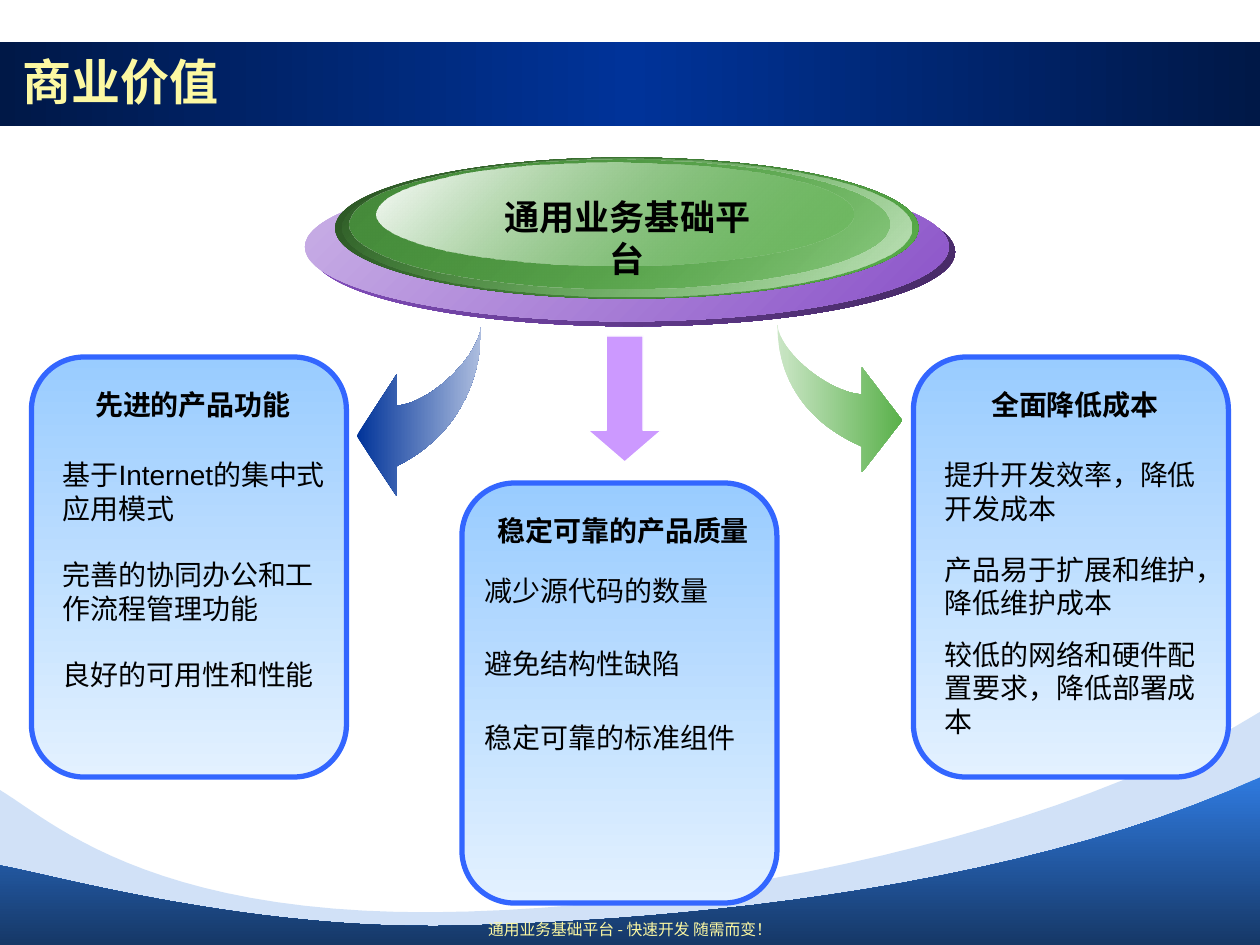
from dataclasses import dataclass

from lxml.etree import SubElement
from pptx import Presentation
from pptx.dml.color import RGBColor
from pptx.enum.shapes import MSO_SHAPE
from pptx.enum.text import MSO_ANCHOR, PP_ALIGN
from pptx.oxml import parse_xml
from pptx.oxml.ns import nsdecls, qn
from pptx.util import Emu, Inches, Pt

COLUMNS, ROWS = 120, 90
CELL = Inches(10) / COLUMNS
LATIN, ASIAN = "Arial", "Noto Sans CJK SC"

BLACK = RGBColor(0x00, 0x00, 0x00)
WHITE = RGBColor(0xFF, 0xFF, 0xFF)
CREAM = RGBColor(0xFC, 0xF8, 0xA2)
MIDNIGHT = RGBColor(0x00, 0x18, 0x47)
NAVY = RGBColor(0x00, 0x33, 0x99)
MIST = RGBColor(0xAE, 0xBE, 0xDF)
WAVE = RGBColor(0x2F, 0x7A, 0xDF)
WAVE_DARK = RGBColor(0x16, 0x38, 0x67)
SKY = RGBColor(0x99, 0xCC, 0xFF)
SKY_PALE = RGBColor(0xE3, 0xF1, 0xFF)
EDGE = RGBColor(0x33, 0x66, 0xFF)
LILAC = RGBColor(0xCC, 0x99, 0xFF)
PURPLE = RGBColor(0x8A, 0x52, 0xC8)
PURPLE_DARK = RGBColor(0x43, 0x28, 0x61)
PURPLE_PALE = RGBColor(0xCB, 0xB2, 0xE7)
GREEN = RGBColor(0x5A, 0xB1, 0x4B)
GREEN_DARK = RGBColor(0x2A, 0x52, 0x23)
GREEN_MID = RGBColor(0x47, 0x8C, 0x3B)
GREEN_SOFT = RGBColor(0xC5, 0xE4, 0xC0)
GREEN_PALE = RGBColor(0xCB, 0xE6, 0xC6)


@dataclass
class Area:
    left: float
    top: float
    width: float
    height: float

    def lengths(self) -> list[Emu]:
        return [Emu(round(n * CELL)) for n in (self.left, self.top, self.width, self.height)]


@dataclass
class Stop:
    color: RGBColor
    opacity: int = 100


@dataclass
class Item:
    text: str
    top: float
    width: float


@dataclass
class Panel:
    left: float
    top: float
    heading: str
    indent: float
    items: list[Item]


PANELS = [
    Panel(3, 34, "先进的产品功能", 1.8, [
        Item("基于Internet的集中式应用模式", 43, 29.16),
        Item("完善的协同办公和工作流程管理功能", 52.56, 27.24),
        Item("良好的可用性和性能", 62, 29.16)]),
    Panel(44, 46, "稳定可靠的产品质量", 1, [
        Item("减少源代码的数量", 54, 29.16),
        Item("避免结构性缺陷", 61, 27.24),
        Item("稳定可靠的标准组件", 68, 29.16)]),
    Panel(87, 34, "全面降低成本", 1.8, [
        Item("提升开发效率，降低开发成本", 43, 27.24),
        Item("产品易于扩展和维护，降低维护成本", 52, 27.24),
        Item("较低的网络和硬件配置要求，降低部署成本", 60.12, 28.2)]),
]

DISC = [
    (Area(29.64, 16.92, 61.32, 14.16), [Stop(PURPLE), Stop(PURPLE_DARK)]),
    (Area(29.04, 16.44, 61.32, 14.16), [Stop(PURPLE_PALE), Stop(PURPLE)]),
    (Area(31.92, 15, 55.56, 13.44), [Stop(GREEN_DARK), Stop(GREEN)]),
    (Area(32.64, 15.12, 54.12, 13.08), [Stop(GREEN, 0), Stop(GREEN_SOFT)]),
    (Area(33.24, 15.24, 51.48, 12.24), [Stop(GREEN_MID), Stop(GREEN, 48)]),
    (Area(35.88, 15.48, 45.36, 9.84), [Stop(WHITE), Stop(GREEN, 38)]),
]


def paint(shape, stops: list[Stop], angle: int = 0) -> None:
    shape.shadow.inherit = False
    shape.line.fill.background()
    if len(stops) == 1:
        shape.fill.solid()
        shape.fill.fore_color.rgb = stops[0].color
        tones = shape._element.spPr.findall(qn("a:solidFill") + "/" + qn("a:srgbClr"))
    else:
        shape.fill.background()
        gradient = parse_xml(f'<a:gradFill {nsdecls("a")} rotWithShape="1"><a:gsLst/>'
                             f'<a:lin ang="{angle * 60000}" scaled="0"/></a:gradFill>')
        tones = []
        for index, stop in enumerate(stops):
            place = SubElement(gradient[0], qn("a:gs"), pos=str(index * 100000 // (len(stops) - 1)))
            tones.append(SubElement(place, qn("a:srgbClr"), val=str(stop.color)))
        blank = shape._element.spPr.find(qn("a:noFill"))
        blank.getparent().replace(blank, gradient)
    for tone, stop in zip(tones, stops):
        if stop.opacity < 100:
            SubElement(tone, qn("a:alpha"), val=str(stop.opacity * 1000))


def add_preset(page, kind, area: Area, stops: list[Stop], angle: int = 0):
    shape = page.shapes.add_shape(kind, *area.lengths())
    paint(shape, stops, angle)
    return shape


def curve(start, first, second, end, steps: int = 24) -> list[tuple[float, float]]:
    points = []
    for step in range(steps + 1):
        t = step / steps
        weights = ((1 - t) ** 3, 3 * t * (1 - t) ** 2, 3 * t * t * (1 - t), t ** 3)
        points.append(tuple(sum(w * p[axis] for w, p in zip(weights, (start, first, second, end)))
                            for axis in (0, 1)))
    return points


def add_outline(page, points, stops: list[Stop], angle: int = 0) -> None:
    corners = [(x * CELL, y * CELL) for x, y in points]
    builder = page.shapes.build_freeform(*corners[0], scale=1.0)
    builder.add_line_segments(corners[1:], close=True)
    paint(builder.convert_to_shape(), stops, angle)


def add_wave(page, knots, stops: list[Stop]) -> None:
    edge = curve(*knots[:4]) + curve(*knots[3:])[1:]
    add_outline(page, edge + [(COLUMNS, ROWS), (0, ROWS)], stops, 90)


def add_swoosh(page, left: float, direction: int, stretch: float, stops: list[Stop]) -> None:
    outer = curve((0, 0), (0, 6.04), (2.84, 10.84), (8.04, 13.44))
    head = [(8.04, 16.32), (11.88, 10.56), (8.04, 4.68)]
    inner = curve((8.04, 7.68), (4.84, 7.44), (0.24, 3.04), (0, 0))
    points = [(left + direction * x, 30.96 + stretch * y) for x, y in outer + head + inner]
    add_outline(page, points, stops)


def add_span(para, text: str, *, size=16, color=BLACK, bold=False, font=LATIN, shadow=False) -> None:
    span = para.add_run()
    span.text = text
    span.font.size, span.font.bold, span.font.name = Pt(size), bold, font
    span.font.color.rgb = color
    properties = span._r.get_or_add_rPr()
    SubElement(properties, qn("a:ea"), typeface=ASIAN)
    if shadow:
        properties.find(qn("a:solidFill")).addnext(parse_xml(
            f'<a:effectLst {nsdecls("a")}><a:outerShdw dist="35921" dir="2700000">'
            '<a:srgbClr val="000000"/></a:outerShdw></a:effectLst>'))


def add_text(page, area: Area, text: str, *, align=PP_ALIGN.LEFT, anchor=MSO_ANCHOR.TOP,
             wrap=True, **style):
    frame = page.shapes.add_textbox(*area.lengths()).text_frame
    frame.word_wrap, frame.vertical_anchor = wrap, anchor
    para = frame.paragraphs[0]
    para.alignment = align
    add_span(para, text, **style)
    return para


def add_panel(page, panel: Panel) -> None:
    card = add_preset(page, MSO_SHAPE.ROUNDED_RECTANGLE, Area(panel.left, panel.top, 30, 40),
                      [Stop(SKY), Stop(SKY_PALE)], 90)
    card.adjustments[0] = 1 / 6
    card.line.color.rgb, card.line.width = EDGE, Pt(3)
    add_text(page, Area(panel.left + 0.8, panel.top + 2.28, 29.16, 4.44), panel.heading,
             align=PP_ALIGN.CENTER, bold=True)
    for item in panel.items:
        add_text(page, Area(panel.left + panel.indent, item.top, item.width, 4.44), item.text)


def main() -> None:
    deck = Presentation()
    deck.slide_width, deck.slide_height = Inches(10), Inches(7.5)
    page = deck.slides.add_slide(deck.slide_layouts[6])

    add_preset(page, MSO_SHAPE.RECTANGLE, Area(0, 4, COLUMNS, 8),
               [Stop(MIDNIGHT), Stop(NAVY), Stop(MIDNIGHT)])
    add_wave(page, [(0, 75.24), (4.8, 78.12), (13.92, 87), (41.16, 86.88),
                    (68.4, 86.64), (101.88, 79.08), (COLUMNS, 67.8)], [Stop(WAVE, 22)])
    add_wave(page, [(0, 82.44), (4.32, 83.16), (22.32, 88.32), (41.52, 88.2),
                    (60.72, 87.96), (95.64, 85.32), (COLUMNS, 74.04)], [Stop(WAVE), Stop(WAVE_DARK)])
    add_text(page, Area(1, 4, 108, 7.44), "商业价值", anchor=MSO_ANCHOR.MIDDLE,
             size=28, color=CREAM, bold=True, shadow=True)
    footer = add_text(page, Area(41, 87, 38, 3.24), "通用业务基础平台 ",
                      align=PP_ALIGN.CENTER, size=9, color=CREAM)
    add_span(footer, "- ", size=9, color=CREAM, font=ASIAN)
    add_span(footer, "快速开发 随需而变！", size=9, color=CREAM)

    add_swoosh(page, 45.84, -1, 1, [Stop(NAVY), Stop(MIST)])
    add_swoosh(page, 74.04, 1, 0.86, [Stop(GREEN_PALE), Stop(GREEN)])
    for area, stops in DISC:
        add_preset(page, MSO_SHAPE.OVAL, area, stops, 45)
    add_text(page, Area(45.24, 18, 29.04, 5.28), "通用业务基础平台", align=PP_ALIGN.CENTER,
             wrap=False, size=20, bold=True)
    arrow = add_preset(page, MSO_SHAPE.DOWN_ARROW, Area(56, 32, 7, 12), [Stop(LILAC)])
    arrow.adjustments[1] = 0.43
    arrow.line.color.rgb, arrow.line.width = WHITE, Pt(0.75)
    for panel in PANELS:
        add_panel(page, panel)
    deck.save("out.pptx")


if __name__ == "__main__":
    main()
